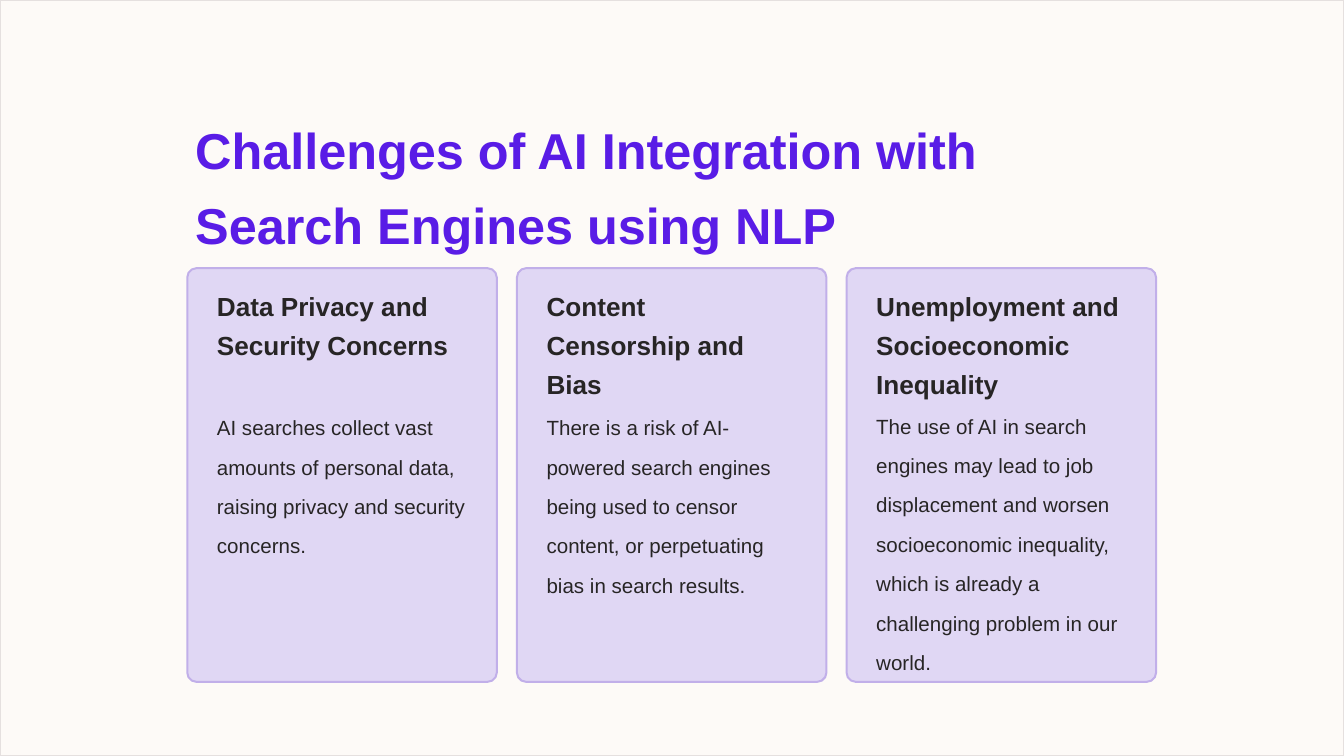
from pptx import Presentation
from pptx.dml.color import RGBColor
from pptx.enum.shapes import MSO_SHAPE as Shape
from pptx.enum.text import MSO_ANCHOR as Anchor
from pptx.util import Cm, Pt

COLORS = {
    "background": "FDFAF7",
    "frame": "E5E0DF",
    "title": "591CE6",
    "card": "E0D7F4",
    "card_border": "C1AFE9",
    "text": "272525",
}

SLIDE_WIDTH, SLIDE_HEIGHT = 25.4, 14.29
CARD_LEFT, CARD_TOP = 3.54, 5.07
CARD_WIDTH, CARD_HEIGHT, CARD_PITCH = 5.85, 7.82, 6.23
PADDING = 0.41
HEADING_TOP = 5.26
LINE_HEIGHT = 0.62

TITLE = "Challenges of AI Integration with Search Engines using NLP"

# Heading, heading box height, body, body top, body lines
CARDS = [
    ("Data Privacy and Security Concerns", 1.2,
     "AI searches collect vast amounts of personal data, "
     "raising privacy and security concerns.", 7.49, 4),
    ("Content Censorship and Bias", 1.2,
     "There is a risk of AI-powered search engines being used to censor "
     "content, or perpetuating bias in search results.", 7.49, 5),
    ("Unemployment and Socioeconomic Inequality", 1.8,
     "The use of AI in search engines may lead to job displacement and "
     "worsen socioeconomic inequality, which is already a challenging "
     "problem in our world.", 7.46, 7),
]

FRAME_FORMAT = {
    "word_wrap": True,
    "vertical_anchor": Anchor.TOP,
    "margin_left": Cm(0.15),
    "margin_right": Cm(0.15),
    "margin_top": Cm(0.08),
    "margin_bottom": Cm(0.08),
}
TITLE_FONT = {"name": "Arial", "size": Pt(27), "bold": True}
HEADING_FONT = {"name": "Arial", "size": Pt(14), "bold": True}
BODY_FONT = {"name": "Arial", "size": Pt(11), "bold": False}


def set_attributes(target, values):
    for name, value in values.items():
        setattr(target, name, value)


def color(name):
    return RGBColor.from_string(COLORS[name])


def add_panel(slide, kind, box, fill, border):
    shape = slide.shapes.add_shape(kind, *map(Cm, box))
    shape.shadow.inherit = False
    shape.fill.solid()
    shape.fill.fore_color.rgb = color(fill)
    shape.line.color.rgb = color(border)
    shape.line.width = Pt(1.09)
    return shape


def add_text(slide, text, box, font_format, color_name, line_spacing):
    frame = slide.shapes.add_textbox(*map(Cm, box)).text_frame
    set_attributes(frame, FRAME_FORMAT)
    paragraph = frame.paragraphs[0]
    paragraph.line_spacing = line_spacing
    run = paragraph.add_run()
    run.text = text
    set_attributes(run.font, font_format)
    run.font.color.rgb = color(color_name)


def add_card(slide, left, heading, heading_height, body, body_top, body_lines):
    card = add_panel(slide, Shape.ROUNDED_RECTANGLE,
                     (left, CARD_TOP, CARD_WIDTH, CARD_HEIGHT),
                     "card", "card_border")
    card.adjustments[0] = 0.03
    text_left = left + PADDING
    text_width = CARD_WIDTH - 2 * PADDING
    add_text(slide, heading,
             (text_left, HEADING_TOP, text_width, heading_height),
             HEADING_FONT, "text", 1.25)
    add_text(slide, body,
             (text_left, body_top, text_width, body_lines * LINE_HEIGHT),
             BODY_FONT, "text", 1.6)


def main():
    presentation = Presentation()
    presentation.slide_width = Cm(SLIDE_WIDTH)
    presentation.slide_height = Cm(SLIDE_HEIGHT)
    slide = presentation.slides.add_slide(presentation.slide_layouts[6])

    # Background and title
    add_panel(slide, Shape.RECTANGLE, (0, 0, SLIDE_WIDTH, SLIDE_HEIGHT),
              "background", "frame")
    add_text(slide, TITLE, (CARD_LEFT, 1.88, 18.31, 2.41),
             TITLE_FONT, "title", 1.25)

    # Challenge cards
    for index, card in enumerate(CARDS):
        add_card(slide, CARD_LEFT + index * CARD_PITCH, *card)

    presentation.save("out.pptx")


if __name__ == "__main__":
    main()
